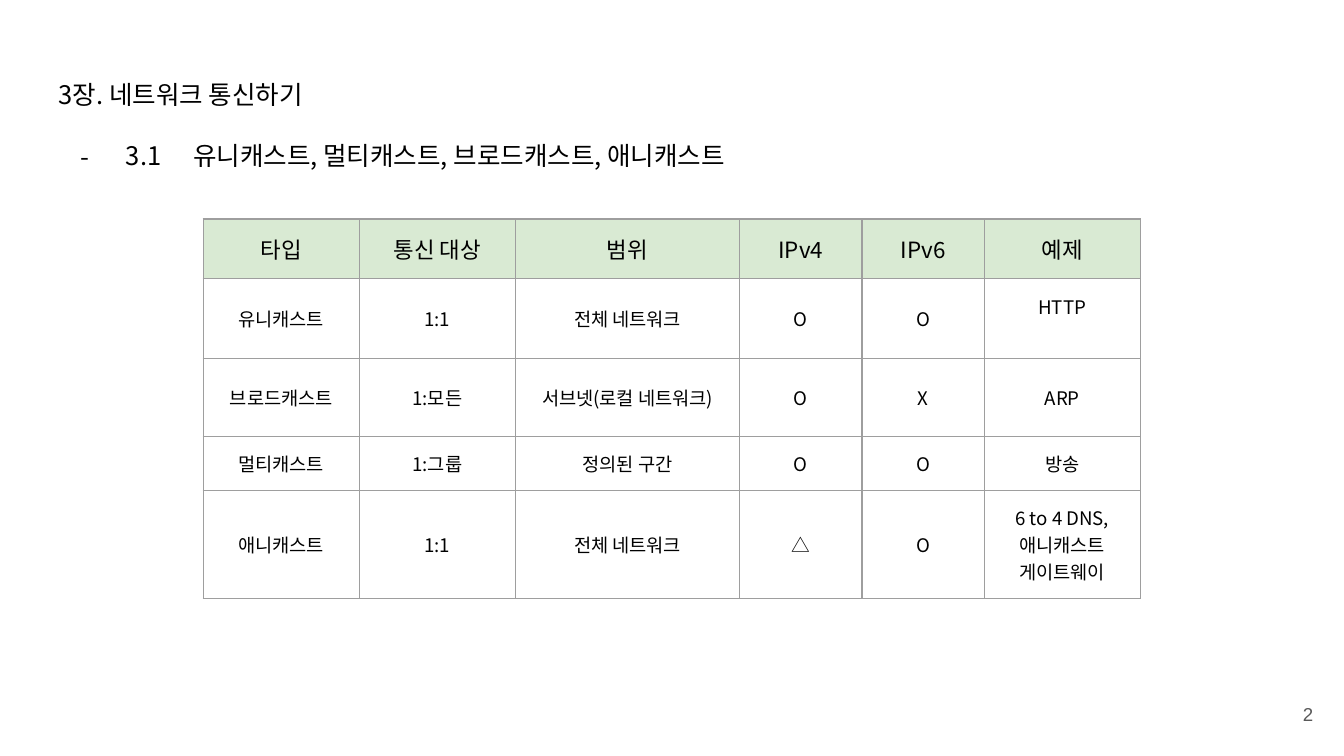
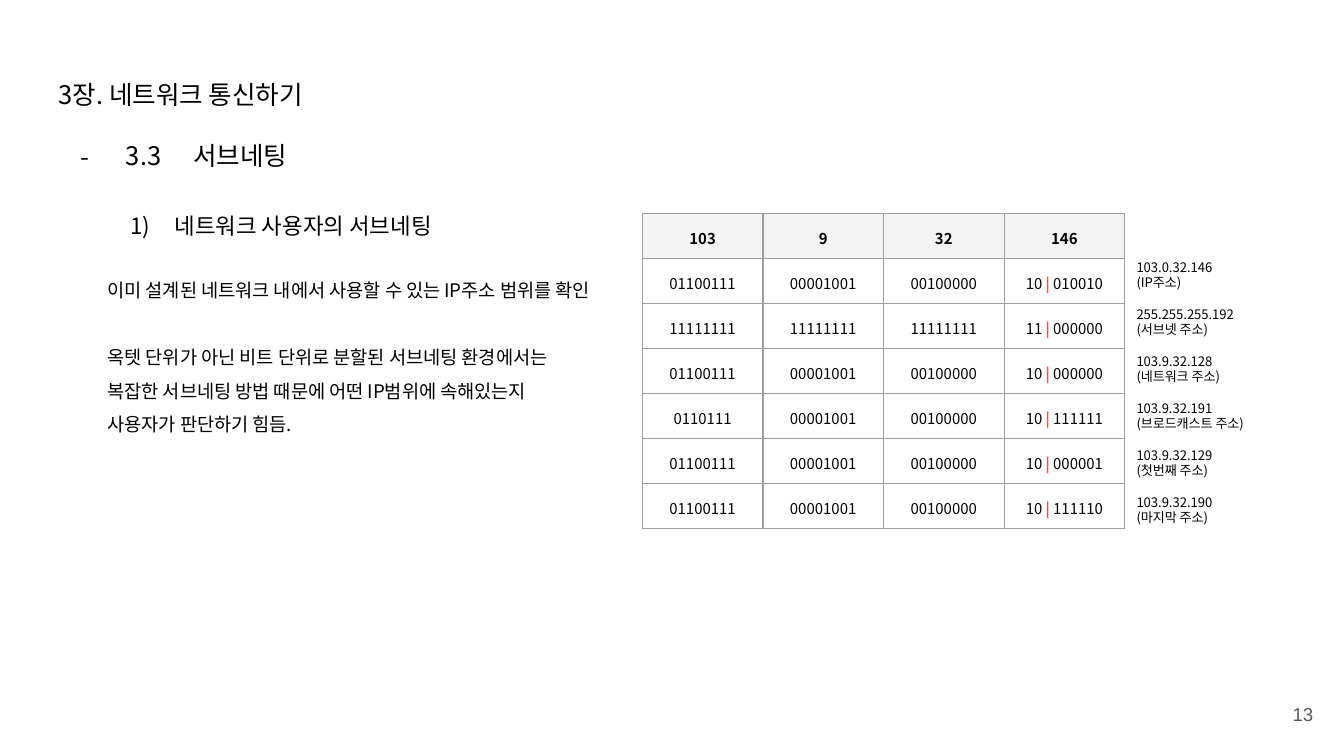
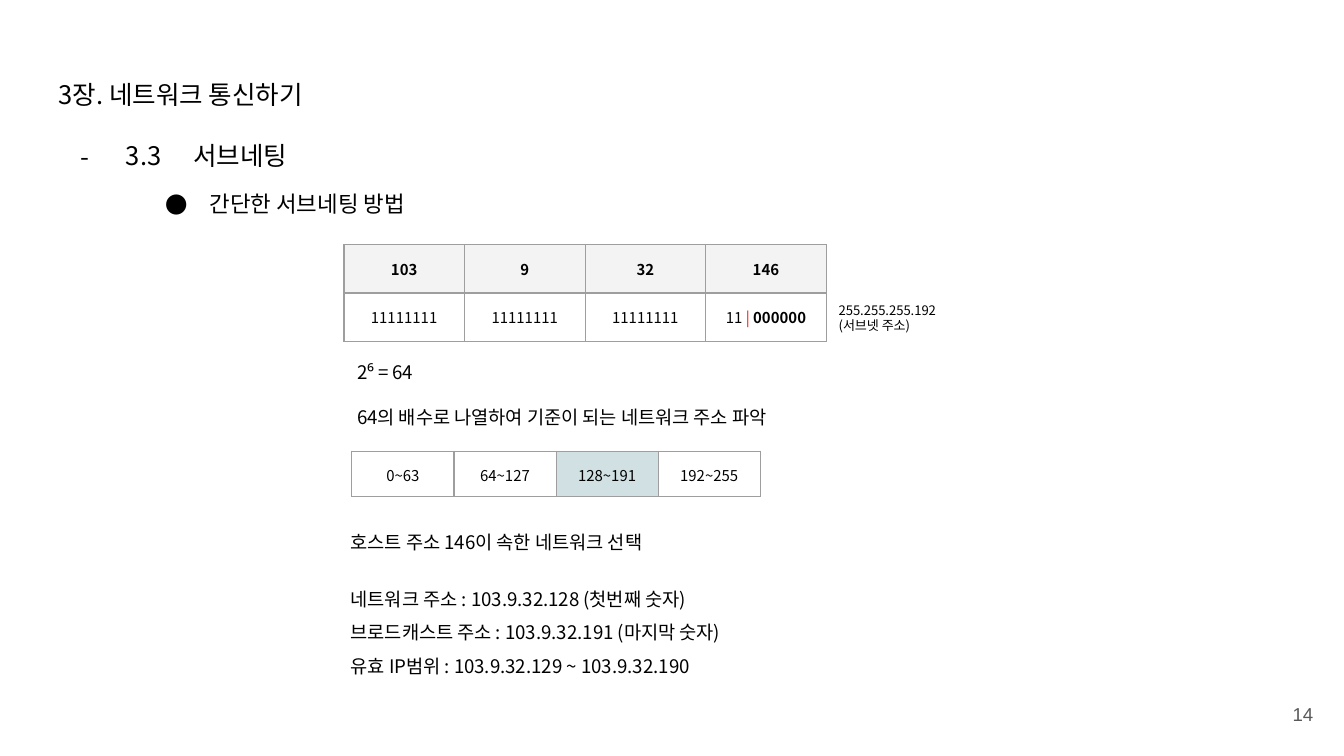
from dataclasses import dataclass

import pptx
import pptx.dml.color
import pptx.enum.text
import pptx.oxml.ns
import pptx.util
from lxml import etree

Cm, Pt = pptx.util.Cm, pptx.util.Pt
Align = pptx.enum.text.PP_ALIGN
Anchor = pptx.enum.text.MSO_ANCHOR
qn = pptx.oxml.ns.qn


@dataclass(frozen=True)
class Theme:
    font: str = "Noto Sans CJK KR"
    number_font: str = "Arial"
    ink: str = "000000"
    number_ink: str = "595959"
    divider: str = "FF0000"
    border: str = "9E9E9E"
    green: str = "D9EAD3"
    grey: str = "F3F3F3"
    teal: str = "D0E0E3"
    title: float = 13.7
    heading: float = 12
    text: float = 10
    bits: float = 8
    note: float = 7
    leading: float = 1.2
    wide_leading: float = 1.8
    inset: float = 0.25


THEME = Theme()
CHAPTER = "3장. 네트워크 통신하기"
CAST_SECTION = "3.1 \t유니캐스트, 멀티캐스트, 브로드캐스트, 애니캐스트"
SUBNET_SECTION = "3.3 \t서브네팅"

CAST_TYPES = [
    ("타입", "통신 대상", "범위", "IPv4", "IPv6", "예제"),
    ("유니캐스트", "1:1", "전체 네트워크", "O", "O", "HTTP"),
    ("브로드캐스트", "1:모든", "서브넷(로컬 네트워크)", "O", "X", "ARP"),
    ("멀티캐스트", "1:그룹", "정의된 구간", "O", "O", "방송"),
    ("애니캐스트", "1:1", "전체 네트워크", "△", "O", "6 to 4 DNS, 애니캐스트 게이트웨이"),
]
CAST_WIDTHS = (2.95, 2.95, 4.24, 2.31, 2.31, 2.95)
CAST_HEIGHTS = (1.12, 1.52, 1.47, 1.02, 2.04)

OCTETS = ("103", "9", "32", "146")
NETWORK_BITS = ("01100111", "00001001", "00100000")
MASK = ("11111111",) * 3 + ("11 | 000000",)
ADDRESS_BITS = [
    OCTETS,
    (*NETWORK_BITS, "10 | 010010"),
    MASK,
    (*NETWORK_BITS, "10 | 000000"),
    ("0110111", *NETWORK_BITS[1:], "10 | 111111"),
    (*NETWORK_BITS, "10 | 000001"),
    (*NETWORK_BITS, "10 | 111110"),
]
MASK_NOTE = ("255.255.255.192", "(서브넷 주소)")
ADDRESS_NOTES = [
    ("103.0.32.146", "(IP주소)"),
    MASK_NOTE,
    ("103.9.32.128", "(네트워크 주소)"),
    ("103.9.32.191", "(브로드캐스트 주소)"),
    ("103.9.32.129", "(첫번째 주소)"),
    ("103.9.32.190", "(마지막 주소)"),
]
USER_HEADING = "네트워크 사용자의 서브네팅"
USER_TEXT = [
    "이미 설계된 네트워크 내에서 사용할 수 있는 IP주소 범위를 확인",
    "옥텟 단위가 아닌 비트 단위로 분할된 서브네팅 환경에서는 복잡한 서브네팅 방법 때문에 "
    "어떤 IP범위에 속해있는지 사용자가 판단하기 힘듬.",
]
METHOD_HEADING = "간단한 서브네팅 방법"
METHOD_STEPS = ["2⁶ = 64", "64의 배수로 나열하여 기준이 되는 네트워크 주소 파악"]
HOST_RANGES = ("0~63", "64~127", "128~191", "192~255")
CHOSEN_RANGE = "128~191"
CHOICE = "호스트 주소 146이 속한 네트워크 선택"
CHOICE_RESULTS = [
    "네트워크 주소 : 103.9.32.128 (첫번째 숫자)",
    "브로드캐스트 주소 : 103.9.32.191 (마지막 숫자)",
    "유효 IP범위 : 103.9.32.129 ~ 103.9.32.190",
]


def rgb(colour):
    return pptx.dml.color.RGBColor.from_string(colour)


def style_run(run, size, colour=THEME.ink, bold=False, face=THEME.font):
    font = run.font
    font.size, font.bold, font.name = Pt(size), bold, face
    font.color.rgb = rgb(colour)
    etree.SubElement(run._r.get_or_add_rPr(), qn("a:ea"), typeface=face)


def set_bullet(paragraph, bullet, hanging):
    """Give a hanging '-', '●' or numbered '1)' bullet; None clears it."""
    props = paragraph._p.get_or_add_pPr()
    props.set("marL", str(Cm(1.27) if bullet else 0))
    props.set("indent", str(-Cm(hanging) if bullet else 0))
    if bullet is None:
        etree.SubElement(props, qn("a:buNone"))
        return
    colour = etree.SubElement(props, qn("a:buClr"))
    etree.SubElement(colour, qn("a:srgbClr"), val=THEME.ink)
    etree.SubElement(props, qn("a:buFont"), typeface=THEME.font)
    if bullet == "1)":
        etree.SubElement(props, qn("a:buAutoNum"), type="arabicParenR")
    else:
        etree.SubElement(props, qn("a:buChar"), char=bullet)


def line(text, size, before=0, leading=THEME.leading, bullet=None, hanging=0.84):
    return dict(text=text, size=size, before=before, leading=leading,
                bullet=bullet, hanging=hanging)


def write_lines(shape, box, lines):
    shape.left, shape.top, shape.width, shape.height = map(Cm, box)
    frame = shape.text_frame
    frame.word_wrap = True
    frame.auto_size = pptx.enum.text.MSO_AUTO_SIZE.NONE
    frame.vertical_anchor = Anchor.TOP
    frame.margin_left = frame.margin_right = Cm(THEME.inset)
    frame.margin_top = frame.margin_bottom = Cm(THEME.inset)
    for index, item in enumerate(lines):
        paragraph = frame.paragraphs[0] if index == 0 else frame.add_paragraph()
        paragraph.text = item["text"]
        set_bullet(paragraph, item["bullet"], item["hanging"])
        paragraph.alignment = Align.LEFT
        paragraph.line_spacing = Pt(item["size"] * item["leading"])
        paragraph.space_before = Pt(item["before"])
        paragraph.space_after = Pt(0)
        for run in paragraph.runs:
            style_run(run, item["size"])


def add_text(slide, box, lines):
    write_lines(slide.shapes.add_textbox(0, 0, 0, 0), box, lines)


def add_notes(slide, box, notes):
    gap = THEME.note * THEME.leading
    add_text(slide, box, [
        line(text, THEME.note, before=gap if index and part == 0 else 0)
        for index, note in enumerate(notes) for part, text in enumerate(note)])


def add_borders(cell):
    props = cell._tc.get_or_add_tcPr()
    for index, side in enumerate(("lnL", "lnR", "lnT", "lnB")):
        edge = etree.Element(qn(f"a:{side}"), w=str(Pt(0.75)))
        fill = etree.SubElement(edge, qn("a:solidFill"))
        etree.SubElement(fill, qn("a:srgbClr"), val=THEME.border)
        props.insert(index, edge)


def add_grid(slide, left, top, widths, heights, rows, style_cell):
    """Draw a bordered table; style_cell(row, text) returns size, fill, bold and bottom inset."""
    table = slide.shapes.add_table(len(rows), len(widths), Cm(left), Cm(top),
                                   Cm(sum(widths)), Cm(sum(heights))).table
    table.first_row = table.horz_banding = False
    for column, width in zip(table.columns, widths):
        column.width = Cm(width)
    for index, (row, height) in enumerate(zip(rows, heights)):
        table.rows[index].height = Cm(height)
        for cell, text in zip(table.rows[index].cells, row):
            size, fill, bold, bottom, anchor = style_cell(index, text)
            cell.margin_left = cell.margin_right = cell.margin_top = Cm(THEME.inset)
            cell.margin_bottom = Cm(bottom)
            cell.vertical_anchor = anchor
            if fill:
                cell.fill.solid()
                cell.fill.fore_color.rgb = rgb(fill)
            else:
                cell.fill.background()
            add_borders(cell)
            paragraph = cell.text_frame.paragraphs[0]
            paragraph.alignment = Align.CENTER
            network, bar, host = text.partition("| ")
            parts = ((network, THEME.ink, bold and not bar),
                     (bar, THEME.divider, False), (host, THEME.ink, bold))
            for part, colour, heavy in parts:
                if part:
                    run = paragraph.add_run()
                    run.text = part
                    style_run(run, size, colour, heavy)


def cast_style(row, text):
    if row == 0:
        return THEME.heading, THEME.green, False, THEME.inset, Anchor.TOP
    bottom = 0.7 if text == "HTTP" else THEME.inset
    return THEME.text, None, False, bottom, Anchor.MIDDLE


def bits_style(row, text):
    fill = THEME.grey if row == 0 else None
    return THEME.bits, fill, row == 0, 0.1, Anchor.TOP


def mask_style(row, text):
    size, fill, bold, bottom, anchor = bits_style(row, text)
    return size, fill, bold or "|" in text, bottom, anchor


def range_style(row, text):
    fill = THEME.teal if text == CHOSEN_RANGE else None
    return THEME.bits, fill, False, 0.1, Anchor.TOP


def start_slide(deck, layout, section, number):
    slide = deck.slides.add_slide(deck.slide_layouts.get_by_name(layout))
    write_lines(slide.shapes.title, (0.86, 1.24, 23.67, 1.6), [
        line(CHAPTER, THEME.title),
        line(section, THEME.title, before=THEME.title * THEME.leading,
             bullet="-", hanging=0.86)])
    page = slide.shapes.add_textbox(Cm(23.55), Cm(12.95), Cm(1.52), Cm(1.1)).text_frame
    page.word_wrap = True
    page.vertical_anchor = Anchor.MIDDLE
    page.text = str(number)
    page.paragraphs[0].alignment = Align.RIGHT
    style_run(page.paragraphs[0].runs[0], THEME.text, THEME.number_ink,
              face=THEME.number_font)
    return slide


def build_cast_slide(deck):
    slide = start_slide(deck, "Title Only", CAST_SECTION, 2)
    add_grid(slide, 3.84, 4.14, CAST_WIDTHS, CAST_HEIGHTS, CAST_TYPES, cast_style)


def build_user_slide(deck):
    slide = start_slide(deck, "Title and Content", SUBNET_SECTION, 13)
    design, difficulty = USER_TEXT
    write_lines(slide.placeholders[1], (1.78, 3.76, 9.7, 7.01), [
        line(USER_HEADING, THEME.heading, bullet="1)"),
        line(design, THEME.text, before=15.4, leading=THEME.wide_leading),
        line(difficulty, THEME.text, before=18, leading=THEME.wide_leading)])
    add_grid(slide, 12.14, 4.04, [2.28] * len(OCTETS), [0.85] * len(ADDRESS_BITS),
             ADDRESS_BITS, bits_style)
    add_notes(slide, (21.23, 4.65, 3.43, 5.61), ADDRESS_NOTES)


def build_method_slide(deck):
    slide = start_slide(deck, "Title and Content", SUBNET_SECTION, 14)
    write_lines(slide.placeholders[1], (2.44, 3.35, 9.68, 1.02),
                [line(METHOD_HEADING, THEME.heading, bullet="●")])
    add_grid(slide, 6.5, 4.62, [2.28] * len(OCTETS), [0.92] * 2,
             [OCTETS, MASK], mask_style)
    add_notes(slide, (15.6, 5.46, 3.43, 1.12), [MASK_NOTE])
    add_text(slide, (6.5, 6.58, 11.46, 1.8), [
        line(step, THEME.text, before=12 if index else 0)
        for index, step in enumerate(METHOD_STEPS)])
    add_grid(slide, 6.65, 8.53, [1.93] * len(HOST_RANGES), [0.85],
             [HOST_RANGES], range_style)
    add_text(slide, (6.38, 9.78, 11.46, 3.07), [line(CHOICE, THEME.text)] + [
        line(result, THEME.text, before=0 if index else 12.6, leading=THEME.wide_leading)
        for index, result in enumerate(CHOICE_RESULTS)])


def main():
    deck = pptx.Presentation()
    deck.slide_width, deck.slide_height = Cm(25.4), Cm(14.29)
    build_cast_slide(deck)
    build_user_slide(deck)
    build_method_slide(deck)
    deck.save("out.pptx")


if __name__ == "__main__":
    main()
